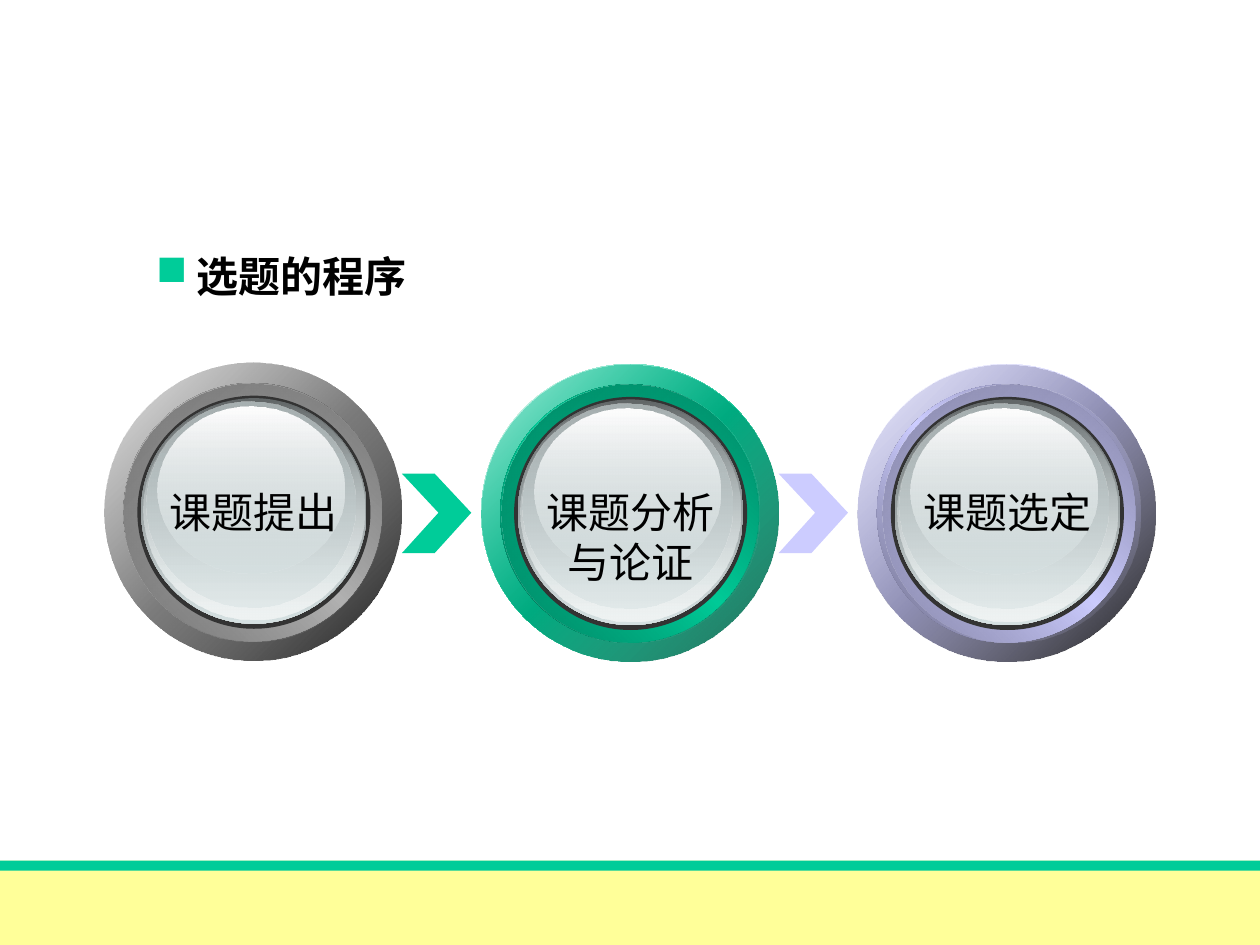
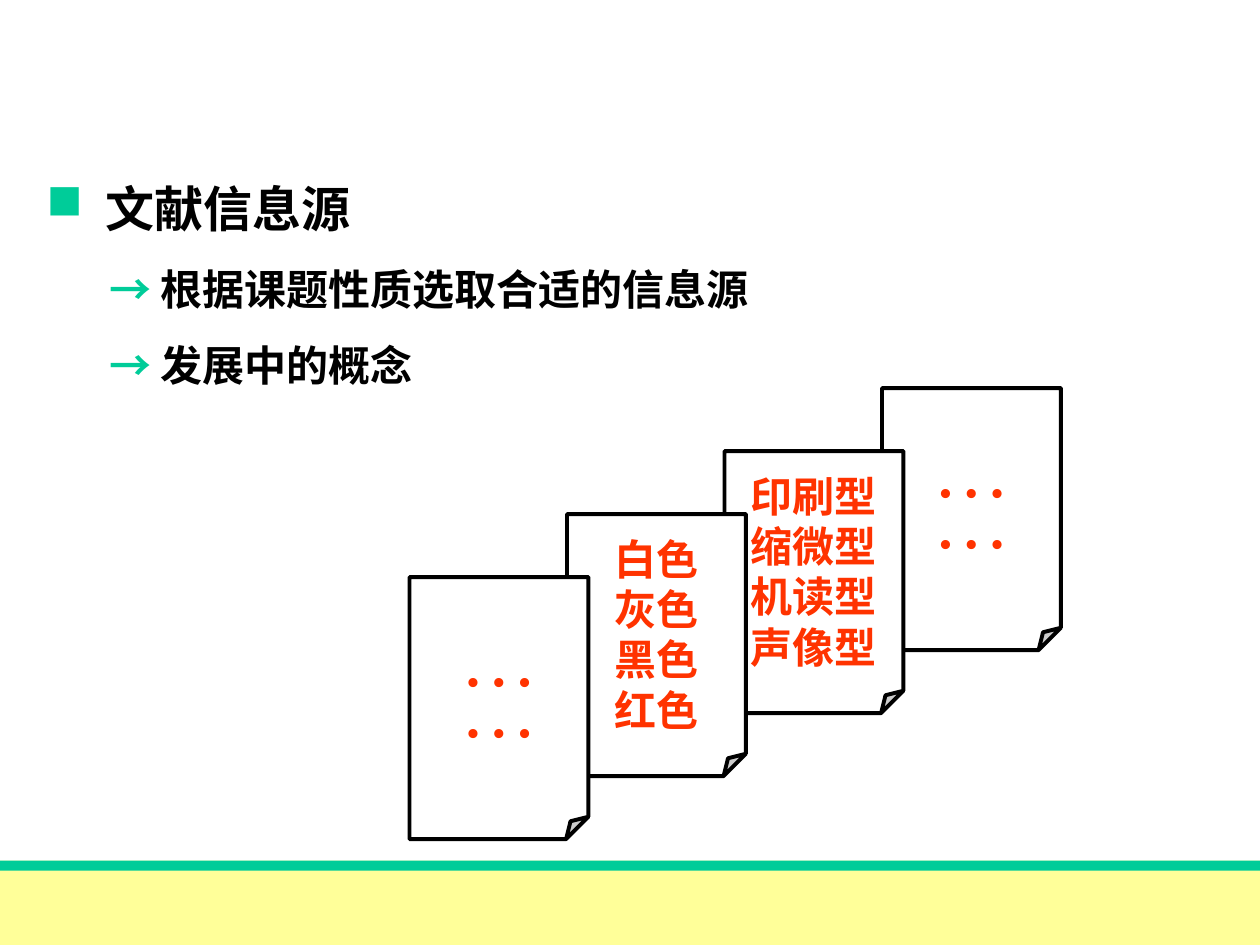
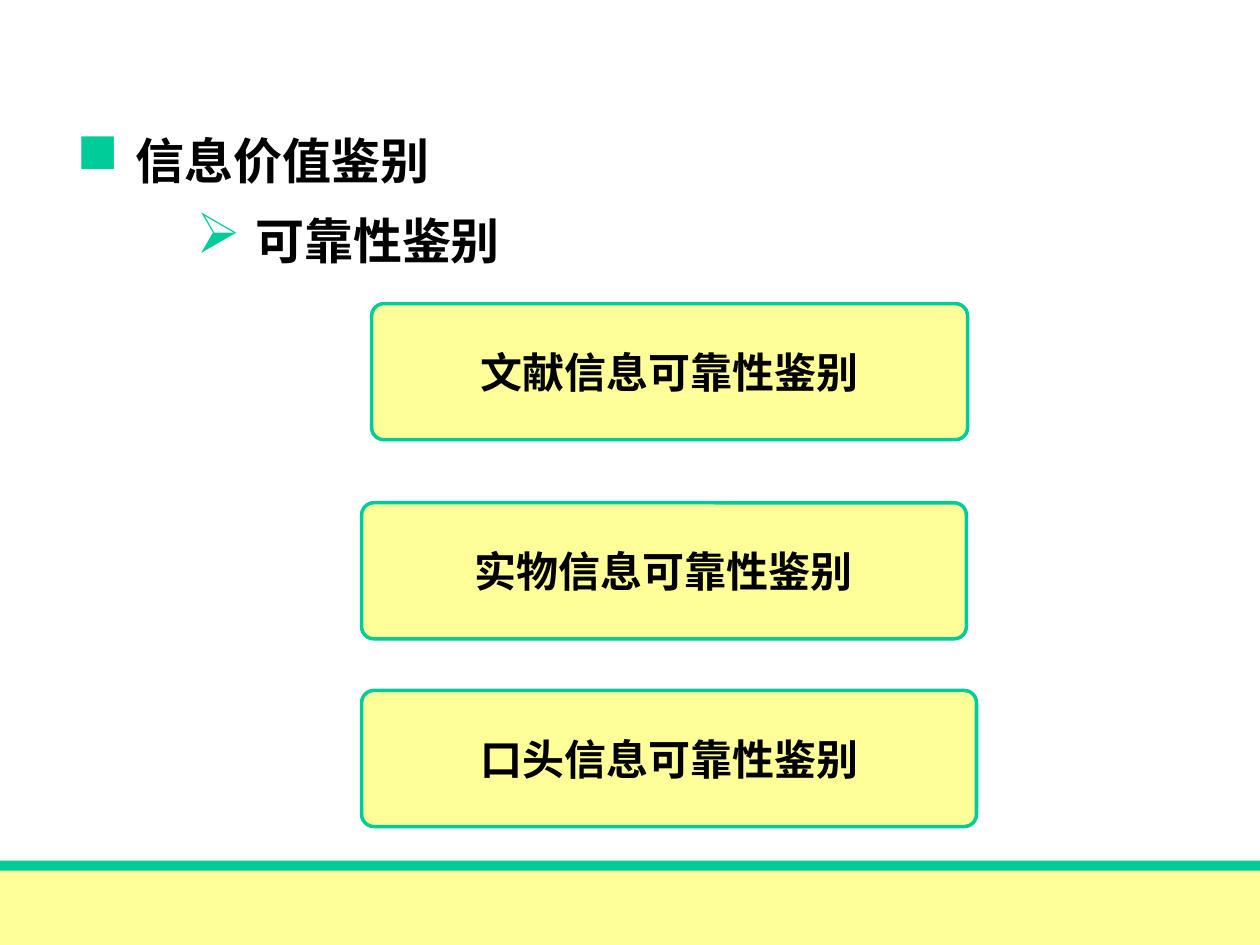
from lxml import etree
from pptx import Presentation
from pptx.dml.color import RGBColor
from pptx.enum import shapes, text
from pptx.oxml.ns import qn
from pptx.util import Inches, Pt

BLACK = RGBColor(0x00, 0x00, 0x00)
WHITE = RGBColor(0xFF, 0xFF, 0xFF)
GLOSS = RGBColor(0xFE, 0xFE, 0xFE)
GREEN = RGBColor(0x00, 0xCC, 0x99)
YELLOW = RGBColor(0xFF, 0xFF, 0x99)
LILAC = RGBColor(0xCC, 0xCC, 0xFF)
GRAY = RGBColor(0xB2, 0xB2, 0xB2)
RED = RGBColor(0xFF, 0x33, 0x00)
RIM = RGBColor(0x33, 0x33, 0x33)
GLASS = RGBColor(0xD6, 0xE1, 0xE2)
GLASS_DARK = RGBColor(0x62, 0x67, 0x68)
GLASS_MID = RGBColor(0xA8, 0xB1, 0xB2)
GLASS_LIGHT = RGBColor(0xEF, 0xF3, 0xF3)

SERIF, SANS = "Times New Roman", "Arial"
KIND = shapes.MSO_SHAPE
CENTER = text.PP_ALIGN.CENTER

# Glass face: offset from the ring, size, gradient stops (position, colour, opacity)
FACE = [
    (0.29, 0.28, 1.79, 1.79, [(0, GLASS_DARK, 100), (100, GLASS, 100)]),
    (0.31, 0.29, 1.75, 1.75, [(0, GLASS, 0), (100, GLASS_LIGHT, 100)]),
    (0.33, 0.31, 1.66, 1.63, [(0, GLASS_MID, 100), (100, GLASS, 48)]),
    (0.42, 0.35, 1.48, 1.32, [(0, GLOSS, 100), (100, GLASS, 38)]),
]


class Deck:
    def __init__(self):
        self.prs = Presentation()
        self.prs.slide_width, self.prs.slide_height = Inches(10), Inches(7.5)
        self.slide = None

    def new_slide(self):
        """Start a slide with the shared footer band."""
        self.slide = self.prs.slides.add_slide(self.prs.slide_layouts[6])
        self.shape(KIND.RECTANGLE, 0, 6.83, 10, 0.67, YELLOW)
        self.shape(KIND.RECTANGLE, 0, 6.83, 10, 0.08, GREEN)

    def finish(self, shape, fill=None, line=None, width=1):
        shape.shadow.inherit = False
        if fill is not None:
            shape.fill.solid()
            shape.fill.fore_color.rgb = fill
        if line is None:
            shape.line.fill.background()
        else:
            shape.line.color.rgb = line
            shape.line.width = Pt(width)
        return shape

    def shape(self, kind, x, y, w, h, fill=None, line=None, width=1):
        shape = self.slide.shapes.add_shape(
            kind, Inches(x), Inches(y), Inches(w), Inches(h))
        return self.finish(shape, fill, line, width)

    def disc(self, x, y, w, h, stops, angle):
        """Ellipse with a linear gradient."""
        props = self.shape(KIND.OVAL, x, y, w, h)._element.spPr
        grad = etree.Element(qn("a:gradFill"), rotWithShape="1")
        stop_list = etree.SubElement(grad, qn("a:gsLst"))
        for position, color, opacity in stops:
            stop = etree.SubElement(stop_list, qn("a:gs"), pos=str(position * 1000))
            tone = etree.SubElement(stop, qn("a:srgbClr"), val=str(color))
            if opacity < 100:
                etree.SubElement(tone, qn("a:alpha"), val=str(opacity * 1000))
        etree.SubElement(grad, qn("a:lin"), ang=str(angle * 60000), scaled="0")
        props.find(qn("a:prstGeom")).addnext(grad)

    def chevron(self, x, y, color):
        points = [(0, 0), (0.26, 0), (0.55, 0.31), (0.26, 0.63), (0, 0.63), (0.29, 0.31)]
        corners = [(Inches(x + dx), Inches(y + dy)) for dx, dy in points]
        outline = self.slide.shapes.build_freeform(*corners[0])
        outline.add_line_segments(corners[1:], close=True)
        self.finish(outline.convert_to_shape(), color)

    def text_box(self, x, y, w, h, wrap=True):
        frame = self.slide.shapes.add_textbox(
            Inches(x), Inches(y), Inches(w), Inches(h)).text_frame
        frame.word_wrap = wrap
        return frame

    def run(self, paragraph, words, size, font=SERIF, color=BLACK, bold=True):
        run = paragraph.add_run()
        run.text = words
        run.font.size, run.font.name, run.font.bold = Pt(size), font, bold
        run.font.color.rgb = color

    def indent(self, paragraph, left, hanging):
        props = paragraph._p.get_or_add_pPr()
        props.set("marL", str(Inches(left)))
        props.set("indent", str(-Inches(hanging)))
        return props

    def heading(self, frame, words, size, mark="■", hanging=0.38, scale=100):
        """Bulleted bold heading in the first paragraph of a box."""
        paragraph = frame.paragraphs[0]
        props = self.indent(paragraph, hanging, hanging)
        color = etree.SubElement(props, qn("a:buClr"))
        etree.SubElement(color, qn("a:srgbClr"), val=str(GREEN))
        etree.SubElement(props, qn("a:buSzPct"), val=str(scale * 1000))
        etree.SubElement(props, qn("a:buChar"), char=mark)
        self.run(paragraph, " " + words, size)
        return paragraph

    def centered(self, frame, lines, size, spacing=None, **style):
        for i, words in enumerate(lines):
            paragraph = frame.add_paragraph() if i else frame.paragraphs[0]
            paragraph.alignment = CENTER
            if spacing:
                paragraph.line_spacing = spacing
            self.run(paragraph, words, size, **style)

    def card(self, kind, box, corner, fill, line, width, lines, size, **style):
        """Outlined box with centred lines; corner is its fold or rounding."""
        card = self.shape(kind, *box, fill, line, width)
        guides = card._element.spPr.find(qn("a:prstGeom")).get_or_add_avLst()
        for guide in list(guides):
            guides.remove(guide)
        etree.SubElement(guides, qn("a:gd"), name="adj", fmla=f"val {round(corner * 100000)}")
        card.text_frame.word_wrap = False
        card.text_frame.vertical_anchor = text.MSO_ANCHOR.MIDDLE
        self.centered(card.text_frame, lines, size, **style)

    def stage(self, x, y, color, deep, edge, shade, groove, lines):
        """Round glass button with a bevelled ring and a label."""
        self.disc(x, y, 2.36, 2.36,
                  [(0, GLOSS, 100), (50, color, 100), (100, GLOSS, 100)], 225)
        self.disc(x, y, 2.36, 2.36, [(0, deep, 90), (100, color, 32)], 225)
        self.disc(x + 0.15, y + 0.16, 2.05, 2.05,
                  [(0, edge, 100), (50, color, 100), (100, edge, 100)], 135)
        self.disc(x + groove, y + 0.16, 2.05, 2.05,
                  [(0, color, 0), (100, shade, 100)], 225)
        self.shape(KIND.OVAL, x + 0.26, y + 0.26, 1.85, 1.85, RIM)
        for dx, dy, w, h, stops in FACE:
            self.disc(x + dx, y + dy, w, h, stops, 90)
        label = self.text_box(x + 0.42, 3.81, 1.53, 0.1 + 0.4 * len(lines), wrap=False)
        self.centered(label, lines, 24, font=SANS, bold=False)


def topic_process(deck):
    deck.new_slide()
    deck.heading(deck.text_box(1.14, 1.94, 7.48, 0.6), "选题的程序", 24, hanging=0.23)
    first, step = 0.83, 2.99
    for i, color in enumerate([GREEN, LILAC]):
        deck.chevron(first + 2.36 + i * step, 3.76, color)
    stages = [
        (2.88, GRAY, BLACK, RGBColor(0x5F, 0x5F, 0x5F), RGBColor(0x70, 0x70, 0x70),
         0.15, ["课题提出"]),
        (2.89, GREEN, RGBColor(0x00, 0x5E, 0x46), RGBColor(0x00, 0x6D, 0x52),
         RGBColor(0x00, 0x81, 0x60), 0.16, ["课题分析", "与论证"]),
        (2.89, LILAC, BLACK, RGBColor(0x6D, 0x6D, 0x89), RGBColor(0x81, 0x81, 0xA1),
         0.19, ["课题选定"]),
    ]
    for i, stage in enumerate(stages):
        deck.stage(first + i * step, *stage)


def literature_sources(deck):
    deck.new_slide()
    outline = deck.text_box(0.27, 1.23, 8.67, 1.92)
    deck.heading(outline, "文献信息源", 28).line_spacing = 1.3
    for words in ["根据课题性质选取合适的信息源", "发展中的概念"]:
        point = outline.add_paragraph()
        deck.indent(point, 0.81, 0.31)
        point.line_spacing, point.space_before = 1.3, Pt(6)
        deck.run(point, "→", 24, SANS, GREEN)
        deck.run(point, " " + words, 24)

    # Sheets step down from right to left, the front one last
    dots = (["…", "…"], 44, {"spacing": 0.55, "bold": False})
    sheets = [
        dots,
        (["印刷型", "缩微型", "机读型", "声像型"], 24, {}),
        (["白色", "灰色", "黑色", "红色"], 24, {}),
        dots,
    ]
    for i, (lines, size, style) in enumerate(sheets):
        deck.card(KIND.FOLDED_CORNER, (7 - 1.25 * i, 3.08 + 0.5 * i, 1.42, 2.08),
                  0.125, WHITE, BLACK, 2.25, lines, size, color=RED, **style)


def value_appraisal(deck):
    deck.new_slide()
    deck.heading(deck.text_box(0.51, 0.99, 7.33, 0.94), "信息价值鉴别", 28, scale=115)
    deck.heading(deck.text_box(1.46, 1.62, 7.33, 0.94), "可靠性鉴别", 28, "➢", scale=115)
    subjects = [("文献", 2.95, 2.41, 4.73), ("实物", 2.87, 3.99, 4.8),
                ("口头", 2.87, 5.48, 4.88)]
    for subject, x, y, w in subjects:
        deck.card(KIND.ROUNDED_RECTANGLE, (x, y, w, 1.08), 0.09, YELLOW, GREEN, 2,
                  [subject + "信息可靠性鉴别"], 24)


def main():
    deck = Deck()
    topic_process(deck)
    literature_sources(deck)
    value_appraisal(deck)
    deck.prs.save("out.pptx")


if __name__ == "__main__":
    main()
